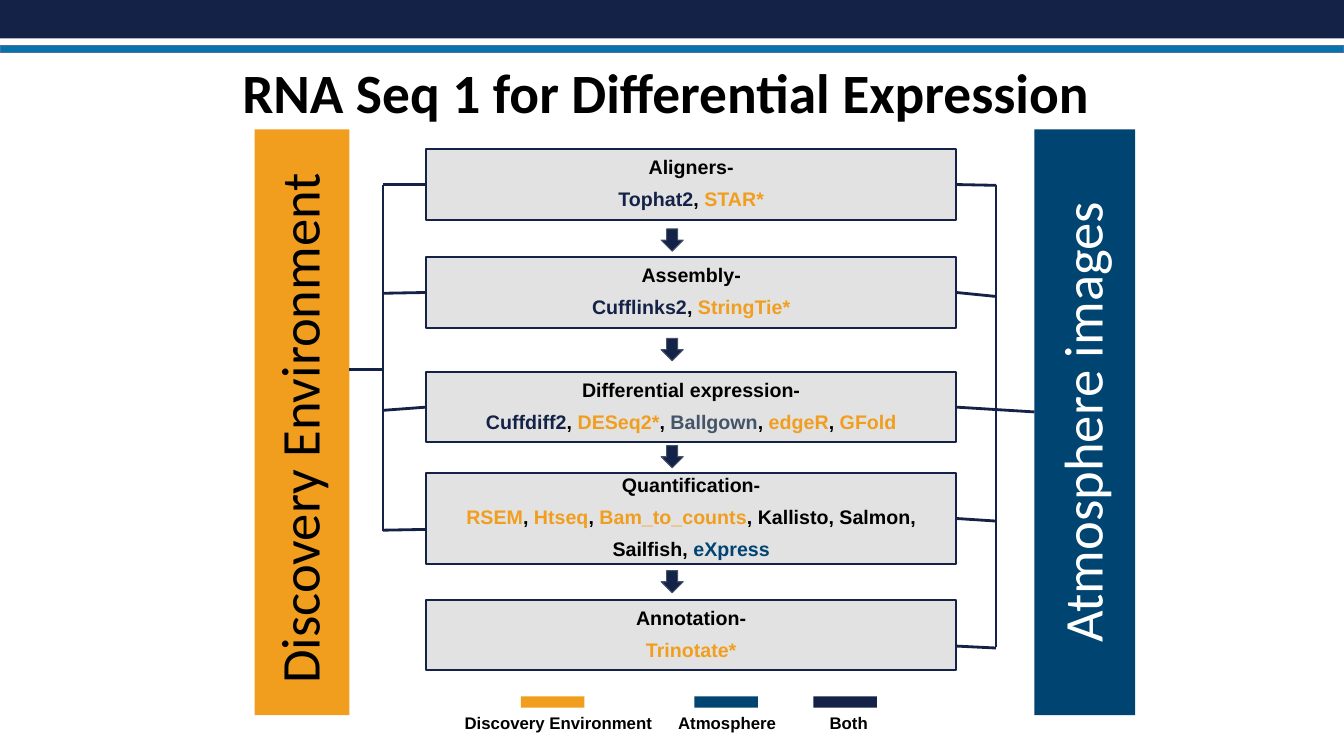
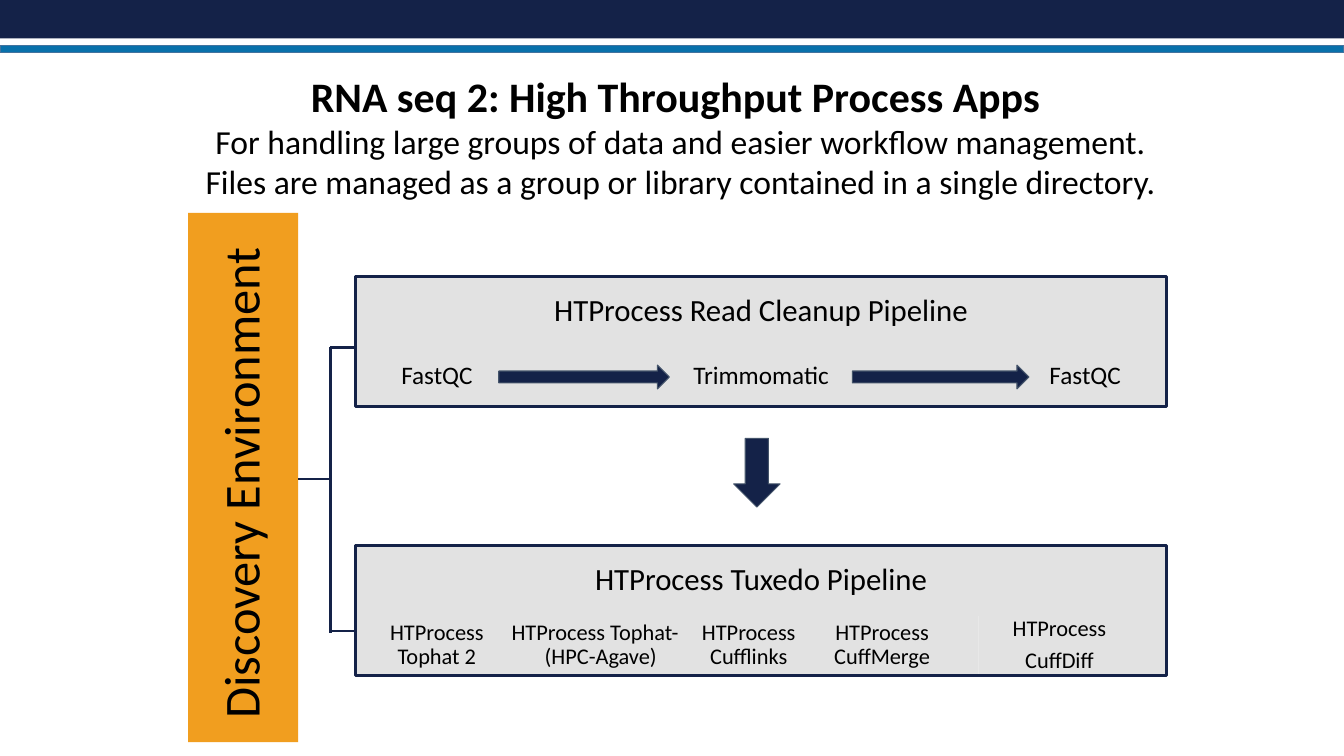
from dataclasses import dataclass

from lxml.etree import SubElement
from pptx import Presentation
from pptx.dml.color import RGBColor
from pptx.enum.shapes import MSO_CONNECTOR, MSO_SHAPE
from pptx.enum.text import MSO_ANCHOR, PP_ALIGN
from pptx.oxml.ns import qn
from pptx.util import Cm, Pt

LEFT_SIDE, RIGHT_SIDE = 1, 3


@dataclass(frozen=True)
class Theme:
    navy: str = "142248"
    blue: str = "0971AB"
    blue_edge: str = "43739E"
    teal: str = "004471"
    orange: str = "F19E1F"
    slate: str = "44546A"
    panel: str = "E2E2E2"
    black: str = "000000"
    white: str = "FFFFFF"
    heading_font: str = "Calibri"
    label_font: str = "Arial"
    title_size: float = 39.6
    bar_size: float = 39
    small_bar_size: float = 36
    subject_size: float = 30
    summary_size: float = 24
    pipeline_size: float = 22
    step_size: float = 18
    app_size: float = 16
    stage_size: float = 14
    legend_size: float = 12


THEME = Theme()


@dataclass(frozen=True)
class Run:
    text: str
    size: float
    color: str = THEME.black
    bold: bool = False
    font: str = THEME.heading_font


class Deck:
    width, height = 33.87, 19.05

    def __init__(self):
        self.presentation = Presentation()
        self.presentation.slide_width = Cm(self.width)
        self.presentation.slide_height = Cm(self.height)
        self.slide = None

    def new_slide(self):
        """Start a blank slide with the two bands at the top."""
        layout = self.presentation.slide_layouts[6]
        self.slide = self.presentation.slides.add_slide(layout)
        self.box(0, 0, self.width, 0.97, THEME.navy)
        self.box(0, 1.14, self.width, 0.18, THEME.blue, THEME.blue_edge, 1)

    def box(self, left, top, width, height, fill=None, line=None, weight=0.75,
            kind=MSO_SHAPE.RECTANGLE):
        shape = self.slide.shapes.add_shape(
            kind, Cm(left), Cm(top), Cm(width), Cm(height))
        shape.shadow.inherit = False
        if fill:
            shape.fill.solid()
            shape.fill.fore_color.rgb = RGBColor.from_string(fill)
        else:
            shape.fill.background()
        if line:
            shape.line.color.rgb = RGBColor.from_string(line)
            shape.line.width = Pt(weight)
        else:
            shape.line.fill.background()
        return shape

    def set_text(self, shape, paragraphs, insets, anchor=MSO_ANCHOR.MIDDLE,
                 align=PP_ALIGN.CENTER, spacing=0.9, gap=0):
        """Fill a shape with paragraphs, each a list of runs."""
        frame = shape.text_frame
        frame.word_wrap = True
        frame.vertical_anchor = anchor
        frame.margin_left = frame.margin_right = Cm(insets[0])
        frame.margin_top = frame.margin_bottom = Cm(insets[1])
        for index, runs in enumerate(paragraphs):
            paragraph = frame.add_paragraph() if index else frame.paragraphs[0]
            paragraph.alignment = align
            paragraph.line_spacing = spacing
            if index:
                paragraph.space_before = Pt(gap)
            for item in runs:
                run = paragraph.add_run()
                run.text = item.text
                run.font.name = item.font
                run.font.size = Pt(item.size)
                run.font.bold = item.bold
                run.font.color.rgb = RGBColor.from_string(item.color)

    def text(self, left, top, width, height, paragraphs, insets=(0.25, 0.25),
             align=PP_ALIGN.CENTER):
        shape = self.slide.shapes.add_textbox(
            Cm(left), Cm(top), Cm(width), Cm(height))
        self.set_text(shape, paragraphs, insets, MSO_ANCHOR.TOP, align, spacing=1)

    def side_bar(self, center_x, center_y, width, height, fill, run):
        """Draw an upright bar whose text reads from bottom to top."""
        bar = self.box(center_x - height / 2, center_y - width / 2,
                       height, width, fill)
        bar.rotation = 270
        self.set_text(bar, [[run]], (0.08, 0.08))

    def arrow(self, kind, left, top, width, height):
        self.box(left, top, width, height, THEME.navy, THEME.slate, kind=kind)

    def line(self, start, end, joined=None, side=None):
        """Draw a line; its end may be joined to one side of a shape."""
        connector = self.slide.shapes.add_connector(
            MSO_CONNECTOR.STRAIGHT, Cm(start[0]), Cm(start[1]),
            Cm(end[0]), Cm(end[1]))
        connector.line.color.rgb = RGBColor.from_string(THEME.navy)
        connector.line.width = Pt(2)
        SubElement(connector._element.spPr, qn("a:effectLst"))
        if joined is not None:
            connector.end_connect(joined, side)

    def stage(self, top, height, name, tool_lines):
        """Draw a workflow stage; tools are (name, colour) pairs."""
        def label(text, color=THEME.black):
            return Run(text, THEME.stage_size, color, True, THEME.label_font)

        paragraphs = [[label(name)]]
        for tools in tool_lines:
            runs = []
            for tool, color in tools:
                if runs:
                    runs.append(label(", "))
                runs.append(label(tool, color))
            paragraphs.append(runs)
        shape = self.box(10.74, top, 13.36, height, THEME.panel, THEME.navy, 1.5)
        self.set_text(shape, paragraphs, (0.43, 0.43), gap=7.7)
        return shape

    def pipeline(self, top, name, size, cells):
        """Draw a titled panel; cells are (left, width, paragraph texts)."""
        left, width, header_height, cell_height = 8.97, 20.42, 1.78, 1.5
        header = self.box(left, top, width, header_height, THEME.panel)
        self.set_text(header, [[Run(name, THEME.pipeline_size)]], (0.43, 0.43))
        for cell_left, cell_width, texts in cells:
            cell = self.box(cell_left, top + header_height,
                            cell_width, cell_height, THEME.panel)
            paragraphs = [[Run(text, size)] for text in texts]
            self.set_text(cell, paragraphs, (0.28, 0.05), gap=5.6)
        self.box(left, top, width, header_height + cell_height,
                 line=THEME.navy, weight=2)


def differential_expression(deck):
    navy, orange, black = THEME.navy, THEME.orange, THEME.black
    deck.new_slide()
    deck.text(5.51, 1.46, 22.86, 3.18, [[
        Run("RNA Seq 1 for Differential Expression ", THEME.title_size, bold=True)
    ]], insets=(0.25, 0))
    deck.side_bar(7.61, 10.64, 2.39, 14.76, orange,
                  Run("Discovery Environment ", THEME.bar_size))
    deck.side_bar(27.34, 10.64, 2.54, 14.76, THEME.teal,
                  Run("Atmosphere images", THEME.bar_size, THEME.white))

    stages = [deck.stage(*details) for details in (
        (3.76, 1.78, "Aligners-", [[("Tophat2", navy), ("STAR*", orange)]]),
        (6.48, 1.78, "Assembly-", [[("Cufflinks2", navy), ("StringTie*", orange)]]),
        (9.37, 1.78, "Differential expression-", [[
            ("Cuffdiff2", navy), ("DESeq2*", orange), ("Ballgown", THEME.slate),
            ("edgeR", orange), ("GFold", orange)]]),
        (11.91, 2.31, "Quantification-", [
            [("RSEM", orange), ("Htseq", orange), ("Bam_to_counts", orange),
             ("Kallisto", black), ("Salmon,", black)],
            [("Sailfish", black), ("eXpress", THEME.teal)]]),
        (15.11, 1.78, "Annotation-", [[("Trinotate*", orange)]]),
    )]
    for top in (5.77, 8.53, 11.23, 14.38):
        deck.arrow(MSO_SHAPE.DOWN_ARROW, 16.66, top, 0.56, 0.56)

    left_spine, right_spine = 9.65, 25.1
    stage_left, stage_right, bar_left = 10.74, 24.1, 26.07
    deck.line((left_spine, 4.65), (left_spine, 13.39))
    deck.line((right_spine, 4.65), (right_spine, 16.3))
    deck.line((8.8, 9.32), (left_spine, 9.32))
    for stage, y in zip(stages, (4.65, 7.39, 10.34)):
        deck.line((left_spine, y), (stage_left, y), stage, LEFT_SIDE)
    deck.line((left_spine, 13.36), (stage_left, 13.34))
    for stage, x, y in zip(stages, (right_spine, right_spine, bar_left, right_spine),
                           (4.67, 7.47, 10.38, 13.13)):
        deck.line((x, y), (stage_right, y), stage, RIGHT_SIDE)
    deck.line((right_spine, 16.33), (stage_right, 16.28))

    for swatch_left, color, label_left, width, align, name in (
        (13.13, orange, 11.46, 5.89, PP_ALIGN.LEFT, "Discovery Environment"),
        (17.5, THEME.teal, 16.84, 3.1, PP_ALIGN.LEFT, "Atmosphere"),
        (20.5, navy, 19.84, 3.1, PP_ALIGN.CENTER, "Both"),
    ):
        deck.box(swatch_left, 17.55, 1.6, 0.28, color)
        deck.text(label_left, 17.7, width, 0.89, [[
            Run(name, THEME.legend_size, bold=True, font=THEME.label_font)
        ]], align=align)


def high_throughput(deck):
    deck.new_slide()
    deck.text(4.45, 1.65, 25.4, 3.33, [
        [Run("RNA seq 2: High Throughput Process Apps ",
             THEME.subject_size, bold=True)],
        [Run("For handling large groups of data and easier workflow management. "
             "Files are managed as a group or library contained in a single "
             "directory.", THEME.summary_size)],
    ], insets=(0.25, 0.13))
    deck.side_bar(6.13, 12.03, 2.77, 13.34, THEME.orange,
                  Run("Discovery Environment ", THEME.small_bar_size))

    spine, panel_left = 8.32, 8.97
    deck.line((7.52, 12.07), (spine, 12.07))
    deck.line((spine, 8.74), (spine, 15.95))
    for y in (8.76, 15.9):
        deck.line((spine, y), (panel_left, y))

    steps = (["FastQC"], [], ["Trimmomatic"], [], ["FastQC"])
    step_width = 20.42 / len(steps)
    deck.pipeline(6.96, "HTProcess Read Cleanup Pipeline", THEME.step_size, [
        (panel_left + index * step_width, step_width, texts)
        for index, texts in enumerate(steps)])
    deck.pipeline(13.74, "HTProcess Tuxedo Pipeline", THEME.app_size, [
        (panel_left, 4.08, ["HTProcess Tophat 2"]),
        (20.19, 4.08, ["HTProcess CuffMerge"]),
        (23.62, 1.04, []),
        (24.66, 4.08, ["HTProcess", "CuffDiff"]),
        (27.97, 1.42, []),
        (12.42, 5.44, ["HTProcess Tophat-2 (HPC-Agave)"]),
        (17.09, 3.56, ["HTProcess Cufflinks"]),
    ])
    deck.arrow(MSO_SHAPE.RIGHT_ARROW, 12.57, 9.2, 4.3, 0.6)
    deck.arrow(MSO_SHAPE.RIGHT_ARROW, 21.48, 9.2, 4.45, 0.6)
    deck.arrow(MSO_SHAPE.DOWN_ARROW, 18.49, 11.05, 1.17, 1.73)


def main():
    deck = Deck()
    differential_expression(deck)
    high_throughput(deck)
    deck.presentation.save("out.pptx")


if __name__ == "__main__":
    main()
